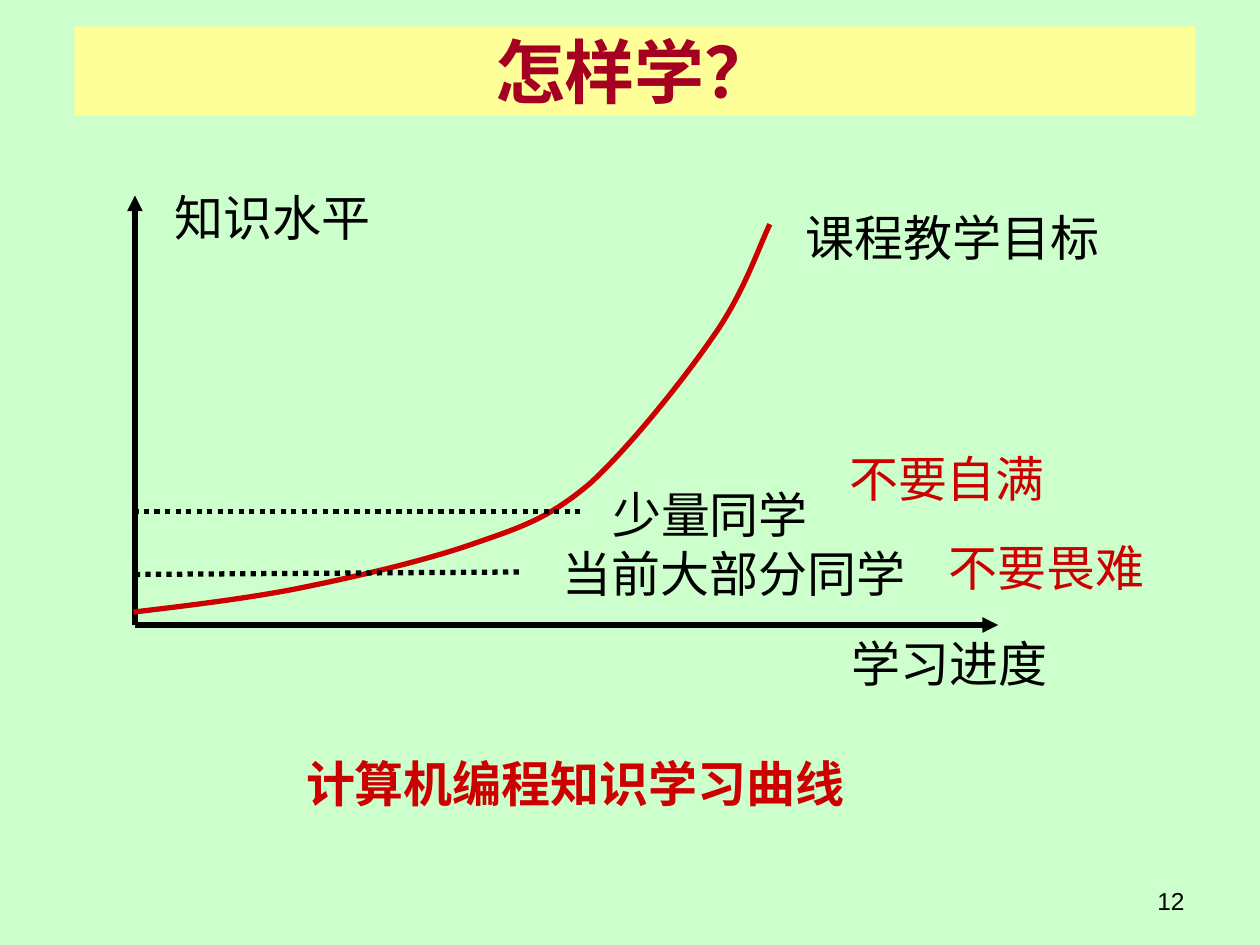
import pptx
import pptx.util
import pptx.dml.color
import pptx.enum.dml
import pptx.enum.shapes
import pptx.enum.text
import pptx.oxml
import pptx.oxml.ns

Cm = pptx.util.Cm
Pt = pptx.util.Pt
RGB = pptx.dml.color.RGBColor.from_string
ALIGN = pptx.enum.text.PP_ALIGN
qn = pptx.oxml.ns.qn
COLORS = {
    "background": "CCFFCC",
    "banner": "FFFF99",
    "title": "A50021",
    "red": "CC0000",
    "black": "000000",
}


def add_text(tf, text, size, color, align, font="Cambria", bold=False, spacing=1.0):
    tf.word_wrap = True
    p = tf.paragraphs[0]
    p.alignment = align
    p.line_spacing = spacing
    r = p.add_run()
    r.text = text
    r.font.name = font
    r.font.size = Pt(size)
    r.font.bold = bold
    r.font.color.rgb = RGB(COLORS[color])


def add_line(x1, y1, x2, y2):
    line = slide.shapes.add_connector(
        pptx.enum.shapes.MSO_CONNECTOR.STRAIGHT, Cm(x1), Cm(y1), Cm(x2), Cm(y2))
    line.line.color.rgb = RGB(COLORS["black"])
    line.line.width = Pt(3)
    pptx.oxml.ns.qn("a:ln")
    line._element.spPr.append(pptx.oxml.parse_xml(
        "<a:effectLst %s/>" % pptx.oxml.ns.nsdecls("a")))
    return line


prs = pptx.Presentation()
prs.slide_width, prs.slide_height = Cm(25.4), Cm(19.05)
slide = prs.slides.add_slide(prs.slide_layouts[5])
slide.background.fill.solid()
slide.background.fill.fore_color.rgb = RGB(COLORS["background"])

title = slide.shapes.title
title.left, title.top, title.width, title.height = Cm(1.5), Cm(0.53), Cm(22.6), Cm(1.8)
title.fill.solid()
title.fill.fore_color.rgb = RGB(COLORS["banner"])
tf = title.text_frame
tf.auto_size = pptx.enum.text.MSO_AUTO_SIZE.NONE
tf.vertical_anchor = pptx.enum.text.MSO_ANCHOR.MIDDLE
add_text(tf, "怎样学？", 40, "title", ALIGN.CENTER, bold=True)

origin_x, origin_y = 2.72, 12.6
for end_x, end_y in [(20.12, origin_y), (origin_x, 3.94)]:
    axis = add_line(origin_x, origin_y, end_x, end_y)
    axis.line._get_or_add_ln().append(pptx.oxml.parse_xml(
        '<a:tailEnd type="triangle" %s/>' % pptx.oxml.ns.nsdecls("a")))

curve_points = [
    (2.69, 12.34),
    (3.25, 12.27), (4.88, 12.09), (6.02, 11.86),
    (7.16, 11.63), (8.59, 11.3), (9.58, 10.95),
    (10.54, 10.62), (11.07, 10.44), (11.89, 9.75),
    (12.67, 9.04), (13.77, 7.67), (14.38, 6.78),
    (14.99, 5.92), (15.29, 5.0), (15.52, 4.52),
]
points = [(Cm(x), Cm(y)) for x, y in curve_points]
builder = slide.shapes.build_freeform(*points[0])
builder.add_line_segments(points[1:], close=False)
curve = builder.convert_to_shape()
curve.shadow.inherit = False
curve.fill.background()
curve.line.color.rgb = RGB(COLORS["red"])
curve.line.width = Pt(3)
segments = list(curve._element.iter(qn("a:lnTo")))
for i in range(0, len(segments), 3):
    bezier = pptx.oxml.parse_xml("<a:cubicBezTo %s/>" % pptx.oxml.ns.nsdecls("a"))
    segments[i].addprevious(bezier)
    for segment in segments[i:i + 3]:
        bezier.append(segment[0])
        segment.getparent().remove(segment)

for x1, y1, x2, y2 in [(2.72, 11.58, 10.49, 11.53), (2.69, 10.31, 11.71, 10.31)]:
    level = add_line(x1, y1, x2, y2)
    level.line.dash_style = pptx.enum.dml.MSO_LINE.ROUND_DOT

labels = [
    ("学习进度", 16.74, 12.52, 4.8, "black", ALIGN.CENTER, False, 1.1),
    ("知识水平", 3.1, 3.53, 4.8, "black", ALIGN.CENTER, False, 1.1),
    ("当前大部分同学", 11.1, 10.72, 8.81, "black", ALIGN.LEFT, False, 1.1),
    ("少量同学", 12.09, 9.53, 4.8, "black", ALIGN.LEFT, False, 1.1),
    ("计算机编程知识学习曲线", 5.69, 14.94, 11.81, "red", ALIGN.CENTER, True, 1.1),
    ("课程教学目标", 15.7, 3.94, 7.01, "black", ALIGN.CENTER, False, 1.1),
    ("不要畏难", 18.49, 10.72, 5.21, "red", ALIGN.CENTER, False, 1.0),
    ("不要自满", 16.69, 8.92, 4.8, "red", ALIGN.CENTER, False, 1.0),
]
for text, x, y, width, color, align, bold, spacing in labels:
    sp = slide.shapes.add_textbox(Cm(x), Cm(y), Cm(width), Cm(1.57 if spacing > 1 else 1.45))
    add_text(sp.text_frame, text, 28, color, align, bold=bold, spacing=spacing)

number = slide.shapes.add_textbox(Cm(18.21), Cm(17.73), Cm(5.92), Cm(0.94))
add_text(number.text_frame, "12", 14, "black", ALIGN.RIGHT, font="Arial")

prs.save("out.pptx")
